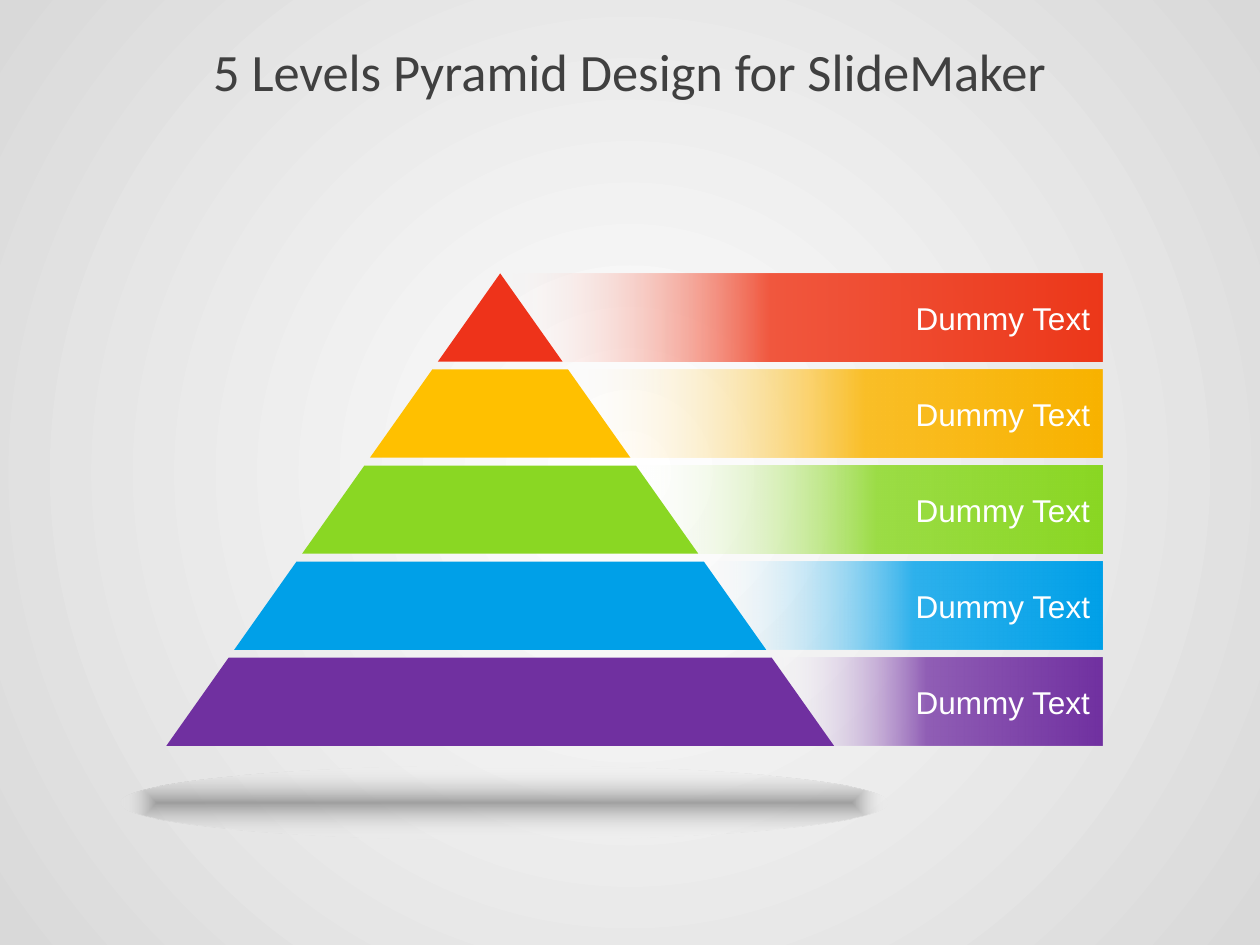
import pptx
import pptx.util
import pptx.dml.color
import pptx.enum.shapes
import pptx.enum.text
import pptx.oxml
import pptx.oxml.ns

TITLE = "5 Levels Pyramid Design for SlideMaker"
LEVELS = [
    {"text": "Dummy Text", "color": "EE331A", "left": 3.96, "stop": 45, "middle": "F1583F", "end": "EE381A"},
    {"text": "Dummy Text", "color": "FFC000", "left": 4.47, "stop": 56, "middle": "FBBF28", "end": "FAB300"},
    {"text": "Dummy Text", "color": "8AD723", "left": 5.02, "stop": 52, "middle": "9CDD46", "end": "8AD723"},
    {"text": "Dummy Text", "color": "00A0E8", "left": 5.57, "stop": 53, "middle": "2EB1EC", "end": "00A0E8"},
    {"text": "Dummy Text", "color": "7030A0", "left": 6.12, "stop": 47, "middle": "905EB5", "end": "7030A0"},
]
WIDTH, HEIGHT = 10, 7.5
CENTER, APEX = 3.97, 2.17
BASE, HALF_BASE = 5.92, 2.65
LEVEL_HEIGHT = 0.7
PITCH = (BASE - APEX - LEVEL_HEIGHT) / (len(LEVELS) - 1)
BAR_RIGHT = 8.75

inches = pptx.util.Inches
shapes_enum = pptx.enum.shapes.MSO_SHAPE
align = pptx.enum.text.PP_ALIGN


def color(value):
    return pptx.dml.color.RGBColor.from_string(value)


def set_gradient(fill, element, stops, shade):
    fill.solid()
    stop_xml = "".join(
        f'<a:gs pos="{position * 1000}"><a:srgbClr val="{value}">'
        f'<a:alpha val="{alpha * 1000}"/></a:srgbClr></a:gs>'
        for position, value, alpha in stops
    )
    if shade == "linear":
        shade_xml = '<a:lin ang="0" scaled="0"/>'
    else:
        shade_xml = f'<a:path path="{shade}"><a:fillToRect l="50000" t="50000" r="50000" b="50000"/></a:path>'
    gradient = pptx.oxml.parse_xml(
        f'<a:gradFill {pptx.oxml.ns.nsdecls("a")} rotWithShape="1">'
        f"<a:gsLst>{stop_xml}</a:gsLst>{shade_xml}</a:gradFill>"
    )
    solid = element.find(pptx.oxml.ns.qn("a:solidFill"))
    element.replace(solid, gradient)


def write_text(shape, text, size, font, value, alignment):
    frame = shape.text_frame
    frame.word_wrap = True
    frame.vertical_anchor = pptx.enum.text.MSO_ANCHOR.MIDDLE
    paragraph = frame.paragraphs[0]
    paragraph.alignment = alignment
    run = paragraph.add_run()
    run.text = text
    run.font.size = pptx.util.Pt(size)
    run.font.name = font
    run.font.color.rgb = color(value)


def make_plain(shape):
    shape.shadow.inherit = False
    shape.line.fill.background()


def add_gradient_shape(slide, kind, box, stops, shade):
    shape = slide.shapes.add_shape(kind, *map(inches, box))
    make_plain(shape)
    set_gradient(shape.fill, shape._element.spPr, stops, shade)
    return shape


def half_width(y):
    return (y - APEX) * HALF_BASE / (BASE - APEX)


def add_slice(slide, top, value):
    bottom = top + LEVEL_HEIGHT
    upper, lower = half_width(top), half_width(bottom)
    corners = [(CENTER - upper, top), (CENTER + upper, top), (CENTER + lower, bottom), (CENTER - lower, bottom)]
    points = [(inches(x), inches(y)) for x, y in dict.fromkeys(corners)]
    builder = slide.shapes.build_freeform(*points[0])
    builder.add_line_segments(points[1:], close=True)
    shape = builder.convert_to_shape()
    make_plain(shape)
    shape.fill.solid()
    shape.fill.fore_color.rgb = color(value)


def main():
    presentation = pptx.Presentation()
    presentation.slide_width, presentation.slide_height = inches(WIDTH), inches(HEIGHT)
    slide = presentation.slides.add_slide(presentation.slide_layouts[6])

    fill = slide.background.fill
    fill.solid()
    background = slide._element.xpath(".//p:bgPr")[0]
    set_gradient(fill, background, [(0, "FFFFFF", 100), (100, "D9D9D9", 100)], "circle")

    title = slide.shapes.add_textbox(*map(inches, (0.5, 0.17, WIDTH - 1, 0.78)))
    write_text(title, TITLE, 30, "Calibri", "404040", align.CENTER)

    tops = [APEX + PITCH * index for index in range(len(LEVELS))]
    for top, level in zip(tops, LEVELS):
        box = (level["left"], top, BAR_RIGHT - level["left"], LEVEL_HEIGHT)
        stops = [(0, "FFFFFF", 0), (level["stop"], level["middle"], 100), (100, level["end"], 100)]
        bar = add_gradient_shape(slide, shapes_enum.RECTANGLE, box, stops, "linear")
        write_text(bar, level["text"], 18, "Arial", "FFFFFF", align.RIGHT)
    for top, level in zip(tops, LEVELS):
        add_slice(slide, top, level["color"])

    add_gradient_shape(slide, shapes_enum.OVAL, (0.96, 6.08, 6.08, 0.58),
                       [(0, "808080", 70), (100, "FFFFFF", 0)], "shape")
    presentation.save("out.pptx")


if __name__ == "__main__":
    main()
